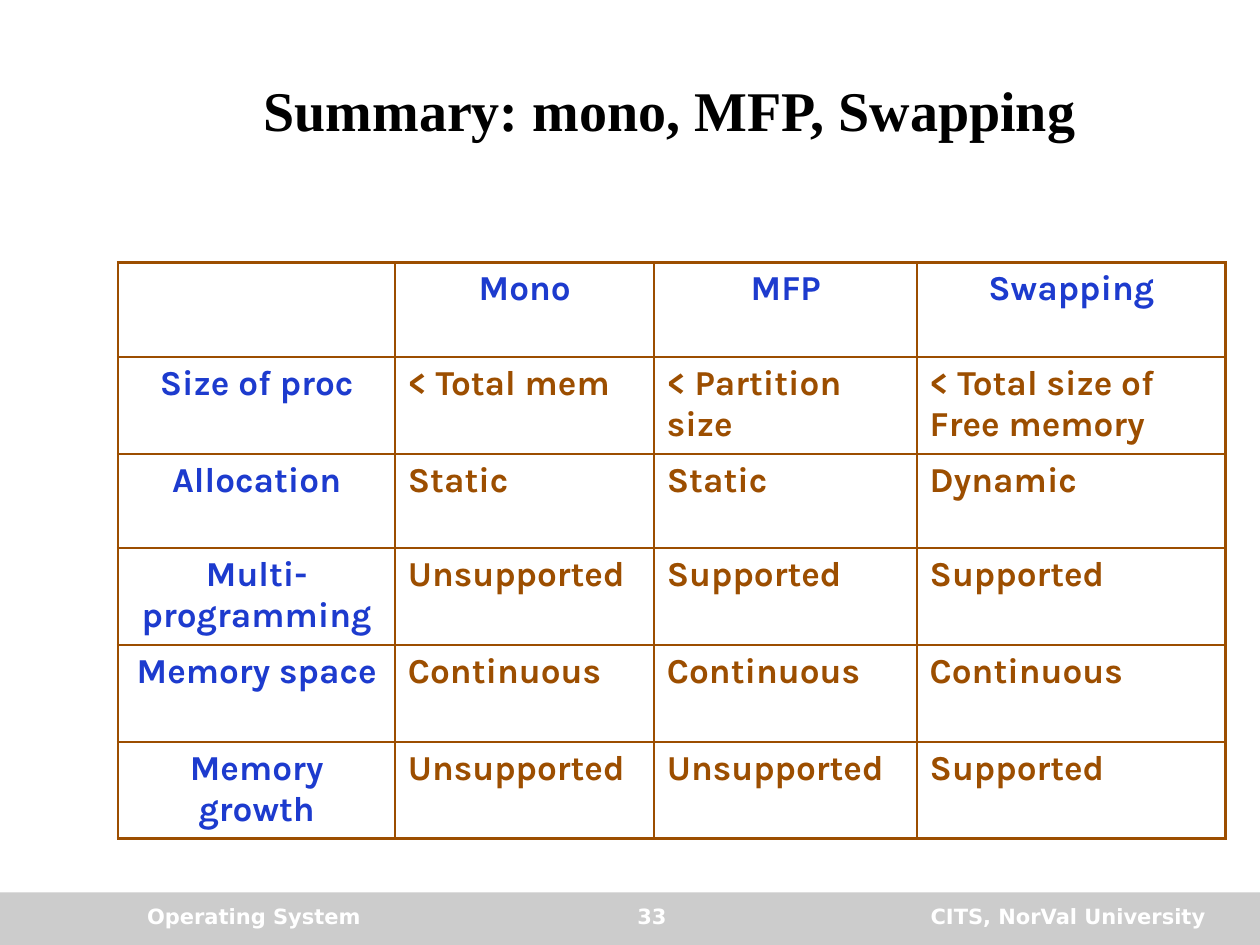
import pptx
import pptx.dml.color
import pptx.enum.shapes
import pptx.enum.text
import pptx.oxml
import pptx.oxml.ns
import pptx.util

Pt = pptx.util.Pt
ALIGN = pptx.enum.text.PP_ALIGN
ANCHOR = pptx.enum.text.MSO_ANCHOR

BLACK = pptx.dml.color.RGBColor(0x00, 0x00, 0x00)
WHITE = pptx.dml.color.RGBColor(0xFF, 0xFF, 0xFF)
GREY = pptx.dml.color.RGBColor(0xCC, 0xCC, 0xCC)
BLUE = pptx.dml.color.RGBColor(0x1D, 0x3B, 0xCE)
BROWN = pptx.dml.color.RGBColor(0x9C, 0x4E, 0x00)

COLUMN_WIDTHS = [158.4, 148, 150.2, 176.3]
ROW_HEIGHTS = [54, 55.3, 54, 55.3, 55.3, 55.3]
COMPARISON = [
    ["", "Mono", "MFP", "Swapping"],
    ["Size of proc", "< Total mem", "< Partition size", "< Total size of Free memory"],
    ["Allocation", "Static", "Static", "Dynamic"],
    ["Multi-programming", "Unsupported", "Supported", "Supported"],
    ["Memory space", "Continuous", "Continuous", "Continuous"],
    ["Memory growth", "Unsupported", "Unsupported", "Supported"],
]


def write(frame, text, font, size, color, align):
    para = frame.paragraphs[0]
    para.alignment = align
    span = para.add_run()
    span.text = text
    span.font.name = font
    span.font.size = Pt(size)
    span.font.bold = True
    span.font.color.rgb = color


def add_text(page, area, text, font, size, color, align, anchor=ANCHOR.TOP):
    box = page.shapes.add_textbox(*map(Pt, area))
    box.text_frame.word_wrap = True
    box.text_frame.vertical_anchor = anchor
    write(box.text_frame, text, font, size, color, align)


def add_bar(page, area):
    bar = page.shapes.add_shape(pptx.enum.shapes.MSO_SHAPE.RECTANGLE, *map(Pt, area))
    bar.shadow.inherit = False
    bar.fill.solid()
    bar.fill.fore_color.rgb = GREY
    bar.line.fill.background()


def set_borders(cell, color, width):
    properties = cell._tc.get_or_add_tcPr()
    for position, side in enumerate(("lnL", "lnR", "lnT", "lnB")):
        border = pptx.oxml.parse_xml(
            f'<a:{side} {pptx.oxml.ns.nsdecls("a")} w="{Pt(width)}"><a:solidFill>'
            f'<a:srgbClr val="{color}"/></a:solidFill></a:{side}>'
        )
        properties.insert(position, border)


def add_comparison(page, left, top):
    table = page.shapes.add_table(
        len(ROW_HEIGHTS), len(COLUMN_WIDTHS), Pt(left), Pt(top),
        Pt(sum(COLUMN_WIDTHS)), Pt(sum(ROW_HEIGHTS)),
    ).table
    table.first_row = False
    table.horz_banding = False
    for column, width in zip(table.columns, COLUMN_WIDTHS):
        column.width = Pt(width)
    for row, height, texts in zip(table.rows, ROW_HEIGHTS, COMPARISON):
        row.height = Pt(height)
        for cell, text in zip(row.cells, texts):
            cell.fill.background()
            set_borders(cell, BROWN, 1.5)
            heading = texts is COMPARISON[0] or text is texts[0]
            if text:
                write(cell.text_frame, text, "Karla", 20,
                      BLUE if heading else BROWN,
                      ALIGN.CENTER if heading else ALIGN.LEFT)


def add_footer(page):
    add_bar(page, (0, 510, 720, 30))
    for left, width, text, align in [
        (77, 198, "Operating System", ALIGN.LEFT),
        (468, 228, "CITS, NorVal University", ALIGN.RIGHT),
        (288.5, 168, "33", ALIGN.CENTER),
    ]:
        add_text(page, (left, 512.5, width, 24), text, "DejaVu Sans", 12, WHITE, align)


def main():
    deck = pptx.Presentation()
    deck.slide_width, deck.slide_height = Pt(720), Pt(540)
    page = deck.slides.add_slide(deck.slide_layouts[6])

    # Footer band, title and comparison table
    add_footer(page)
    add_text(page, (76.5, 24, 612.5, 77), "Summary: mono, MFP, Swapping",
             "Times New Roman", 32, BLACK, ALIGN.CENTER, ANCHOR.MIDDLE)
    add_comparison(page, 67.5, 150)

    deck.save("out.pptx")


if __name__ == "__main__":
    main()
